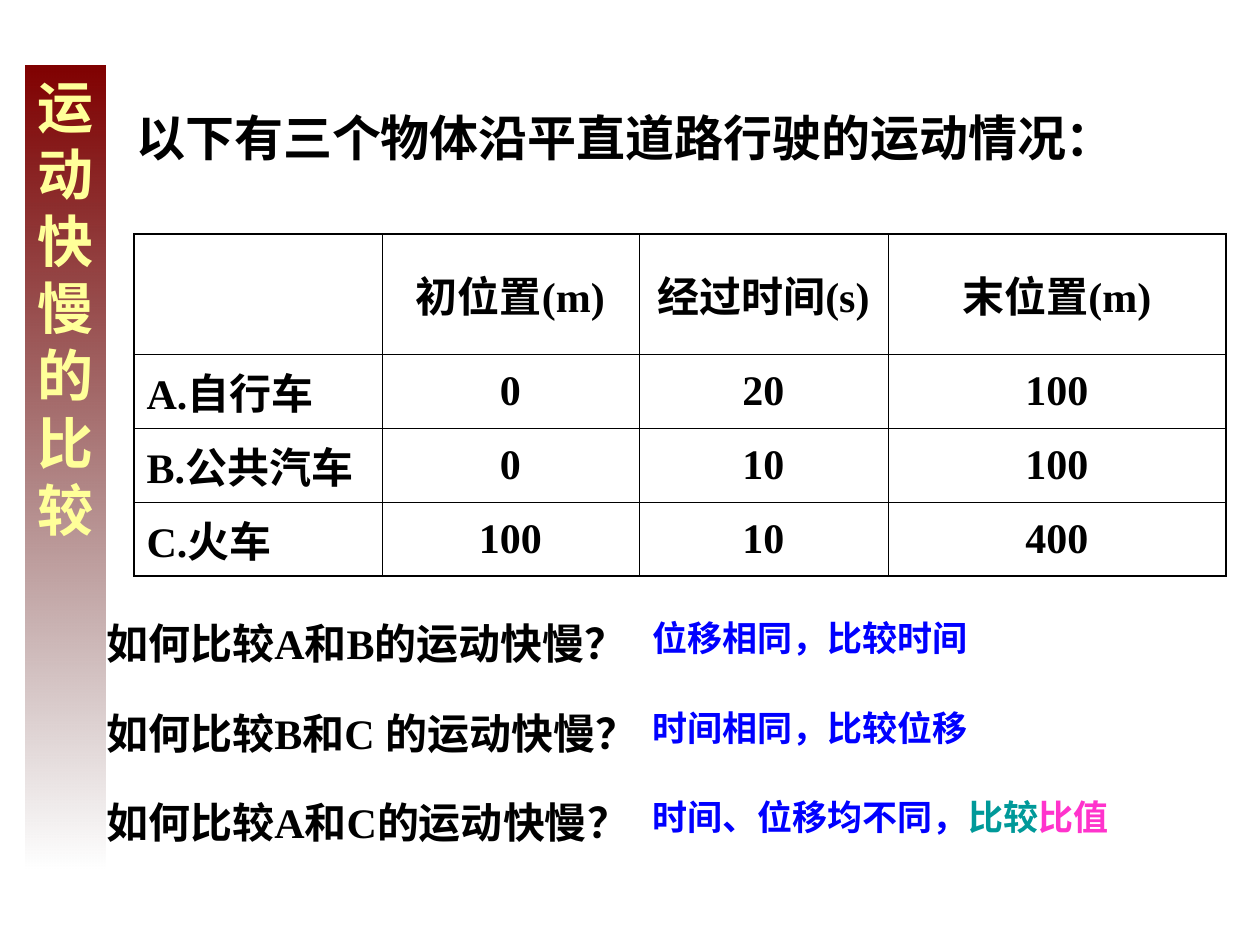
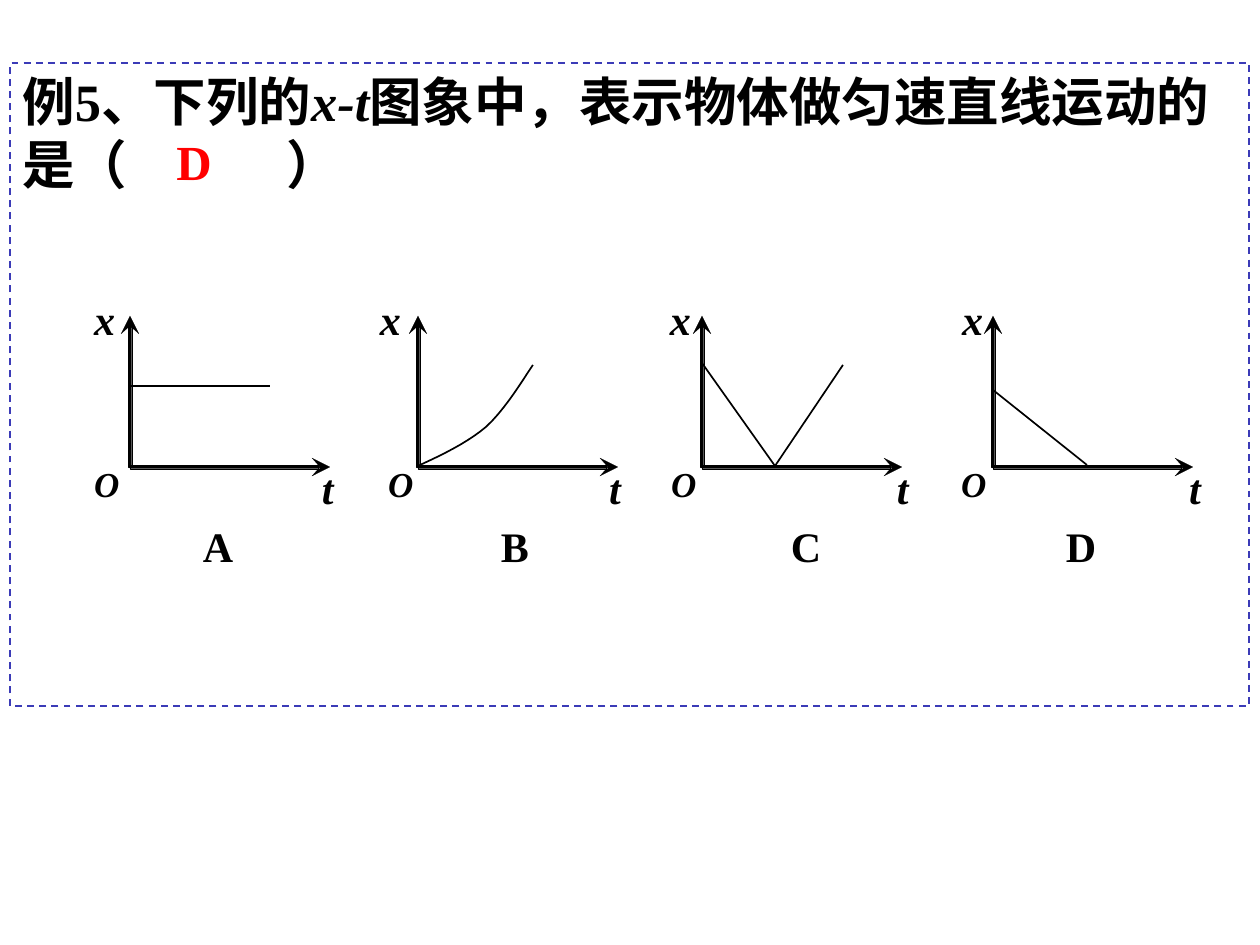
from itertools import pairwise

from pptx import Presentation
from pptx.dml.color import RGBColor
from pptx.enum.dml import MSO_LINE
from pptx.enum.shapes import MSO_CONNECTOR, MSO_SHAPE
from pptx.enum.text import MSO_ANCHOR, PP_ALIGN
from pptx.oxml.ns import qn
from pptx.oxml.xmlchemy import OxmlElement
from pptx.util import Pt

PX = 914400 / 126
COLORS = {
    "ink": "000000", "band": "800000", "band_end": "3B0000", "band_text": "FFFF99",
    "answer": "0000FF", "compare": "009999", "ratio": "FF33CC",
    "frame": "3B3BB7", "solution": "FF0000",
}
SERIF, SANS, CJK = "Times New Roman", "Arial", "Noto Sans CJK SC"

# Slide 1
TOPIC = "运动快慢的比较"
INTRO = "以下有三个物体沿平直道路行驶的运动情况："
MOTIONS = [
    ["", "初位置(m)", "经过时间(s)", "末位置(m)"],
    ["A.自行车", "0", "20", "100"],
    ["B.公共汽车", "0", "10", "100"],
    ["C.火车", "100", "10", "400"],
]
COLUMN_WIDTHS = [248, 257, 249, 338]
ROW_HEIGHTS = [120, 74, 74, 74]
COMPARISONS = [
    (611, "如何比较A和B的运动快慢？", [("位移相同，比较时间", {})]),
    (701, "如何比较B和C 的运动快慢？", [("时间相同，比较位移", {})]),
    (790, "如何比较A和C的运动快慢？", [("时间、位移均不同，", {}),
                            ("比较", {"color": "compare"}),
                            ("比值", {"color": "ratio"})]),
]

# Slide 2
EXERCISE = [("例5、下列的", {}), ("x-t", {"italic": True}),
            ("图象中，表示物体做匀速直线运动的是（\t）", {})]
SOLUTION = "D"
BLANK_END = 264
BEZIER_B = [[(0, 0), (24, 11), (49, 23), (68, 39)],
            [(68, 39), (88, 57), (108, 91), (115, 101)]]
ORIGIN_Y = 466
AXIS_X, AXIS_Y = 200, 151
LABELS = [("x", 294, 24), ("t", 463, 24), ("O", 463, 20)]


def bezier_points(segments, steps=10):
    points = [segments[0][0]]
    for a, b, c, d in segments:
        for step in range(1, steps + 1):
            t = step / steps
            u = 1 - t
            points.append(tuple(
                u**3 * a[i] + 3 * u * u * t * b[i] + 3 * u * t * t * c[i] + t**3 * d[i]
                for i in (0, 1)))
    return points


# Letter, origin x, letter offset, offsets of x, t and O, points right of and above the origin
GRAPHS = [
    ("A", 130, 73, (-36, 192, -36), [(0, 80), (140, 80)]),
    ("B", 418, 83, (-38, 191, -30), bezier_points(BEZIER_B)),
    ("C", 702, 89, (-32, 195, -31), [(0, 103), (73, 0), (141, 101)]),
    ("D", 993, 73, (-31, 196, -32), [(0, 76), (94, 1)]),
]
CURVED = {"B"}


def px(*lengths):
    return [round(length * PX) for length in lengths]


def rgb(key):
    return RGBColor.from_string(COLORS[key])


def child(parent, tag, **attributes):
    element = OxmlElement(tag)
    for name, value in attributes.items():
        element.set(name, str(value))
    parent.append(element)
    return element


def write(frame, runs, size, color="ink", font=SERIF, italic=False,
          align=PP_ALIGN.LEFT, spacing=None, hanging=0, tab=None):
    """Fill a text frame with one bold paragraph; runs is a string or (text, changes) pairs."""
    frame.word_wrap = True
    paragraph = frame.paragraphs[0]
    paragraph.alignment = align
    if spacing:
        paragraph.line_spacing = spacing
    properties = paragraph._p.get_or_add_pPr()
    if hanging:
        properties.set("marL", str(px(hanging)[0]))
        properties.set("indent", str(px(-hanging)[0]))
    if tab:
        child(child(properties, "a:tabLst"), "a:tab", pos=px(tab)[0], algn="l")
    style = paragraph.font
    style.size, style.bold, style.italic = Pt(size), True, italic
    style.color.rgb = rgb(color)
    style.name = font
    child(properties.find(qn("a:defRPr")), "a:ea", typeface=CJK)
    for text, changes in [(runs, {})] if isinstance(runs, str) else runs:
        run = paragraph.add_run()
        run.text = text
        if "color" in changes:
            run.font.color.rgb = rgb(changes["color"])
        if "italic" in changes:
            run.font.italic = changes["italic"]


def add_text(slide, box, runs, size, inset=True, **style):
    frame = slide.shapes.add_textbox(*px(*box)).text_frame
    if not inset:
        frame.margin_left = frame.margin_right = frame.margin_top = frame.margin_bottom = 0
    write(frame, runs, size, **style)


def add_panel(slide, box):
    panel = slide.shapes.add_shape(MSO_SHAPE.RECTANGLE, *px(*box))
    panel.shadow.inherit = False
    panel.text_frame.vertical_anchor = MSO_ANCHOR.TOP
    return panel


def add_line(slide, start, end, width):
    line = slide.shapes.add_connector(MSO_CONNECTOR.STRAIGHT, *px(*start, *end))
    line.line.color.rgb = rgb("ink")
    line.line.width = Pt(width)
    child(line._element.spPr, "a:effectLst")


def add_outline(slide, contours, width, closed):
    builder = slide.shapes.build_freeform(*px(*contours[0][0]))
    for i, contour in enumerate(contours):
        if i:
            builder.move_to(*px(*contour[0]))
        builder.add_line_segments([px(*point) for point in contour[1:]], close=closed)
    outline = builder.convert_to_shape()
    outline.shadow.inherit = False
    outline.line.color.rgb = rgb("ink")
    outline.line.width = Pt(width)
    if closed:
        outline.fill.solid()
        outline.fill.fore_color.rgb = rgb("ink")
    else:
        outline.fill.background()


def add_axis(slide, x, y, length, upright):
    """Draw a filled shaft with a notched head, starting at (x, y)."""
    notch, barb = length - 10, length - 18
    shaft = [(0, -1.75), (notch, -1.75), (notch, 1.75), (0, 1.75)]
    head = [(notch, 0), (barb, -9), (length, 0), (barb, 9)]
    contours = [[(x + across, y - along) if upright else (x + along, y + across)
                 for along, across in contour] for contour in (shaft, head)]
    add_outline(slide, contours, 0.06, closed=True)


def add_borders(cell, row, column):
    edges = {"L": column == 0, "R": column == len(COLUMN_WIDTHS) - 1,
             "T": row == 0, "B": row == len(ROW_HEIGHTS) - 1}
    for side, outer in edges.items():
        border = child(cell._tc.get_or_add_tcPr(), f"a:ln{side}",
                       w=Pt(1.08 if outer else 0.45))
        child(child(border, "a:solidFill"), "a:srgbClr", val=COLORS["ink"])
    cell.fill.background()


def add_motion_table(slide):
    table = slide.shapes.add_table(
        len(MOTIONS), len(COLUMN_WIDTHS),
        *px(134, 234, sum(COLUMN_WIDTHS), sum(ROW_HEIGHTS))).table
    table.first_row = table.horz_banding = False
    for column, width in zip(table.columns, px(*COLUMN_WIDTHS)):
        column.width = width
    for row, height in zip(table.rows, px(*ROW_HEIGHTS)):
        row.height = height
    for r, values in enumerate(MOTIONS):
        for c, value in enumerate(values):
            cell = table.cell(r, c)
            add_borders(cell, r, c)
            cell.vertical_anchor = MSO_ANCHOR.MIDDLE
            if value:
                write(cell.text_frame, value, 24, hanging=48,
                      align=PP_ALIGN.CENTER if c else PP_ALIGN.LEFT)


def add_topic_band(slide):
    band = add_panel(slide, (25, 66, 80, 804))
    band.line.fill.background()
    band.fill.gradient()
    band.fill.gradient_angle = 270
    for stop, key in zip(band.fill.gradient_stops, ("band", "band_end")):
        stop.color.rgb = rgb(key)
    faded = band._element.spPr.findall(".//" + qn("a:srgbClr"))[-1]
    child(faded, "a:alpha", val=0)
    write(band.text_frame, TOPIC, 32, color="band_text", font=CJK, align=PP_ALIGN.CENTER)


def build_comparison(slide):
    add_motion_table(slide)
    for top, question, answer in COMPARISONS:
        add_text(slide, (94, top, 755, 63), question, 24)
        add_text(slide, (640, top - 1, 556, 55), answer, 20, color="answer", font=CJK)
    add_topic_band(slide)
    add_text(slide, (124, 66, 1072, 120), INTRO, 28, font=SANS, spacing=1.6)


def add_graph(slide, letter, origin_x, letter_offset, label_offsets, points):
    add_axis(slide, origin_x, ORIGIN_Y + 1, AXIS_X, upright=False)
    add_axis(slide, origin_x, ORIGIN_Y + 1, AXIS_Y, upright=True)
    for (label, top, size), offset in zip(LABELS, label_offsets):
        add_text(slide, (origin_x + offset, top, 32, 50), label, size,
                 inset=False, italic=True)
    add_text(slide, (origin_x + letter_offset, 521, 40, 50), letter, 24, inset=False)

    track = [(origin_x + x, ORIGIN_Y - y) for x, y in points]
    if letter in CURVED:
        add_outline(slide, [track], 0.96, closed=False)
    else:
        for start, end in pairwise(track):
            add_line(slide, start, end, 0.96)


def build_exercise(slide):
    frame = add_panel(slide, (10, 63, 1239, 643))
    frame.fill.background()
    frame.line.color.rgb = rgb("frame")
    frame.line.width = Pt(1)
    frame.line.dash_style = MSO_LINE.DASH
    write(frame.text_frame, EXERCISE, 30, tab=BLANK_END)
    add_text(slide, (164, 125, 118, 72), SOLUTION, 28, color="solution")
    for graph in GRAPHS:
        add_graph(slide, *graph)


def main():
    deck = Presentation()
    deck.slide_width, deck.slide_height = px(1260, 945)
    for build in (build_comparison, build_exercise):
        build(deck.slides.add_slide(deck.slide_layouts[6]))
    deck.save("out.pptx")


if __name__ == "__main__":
    main()
